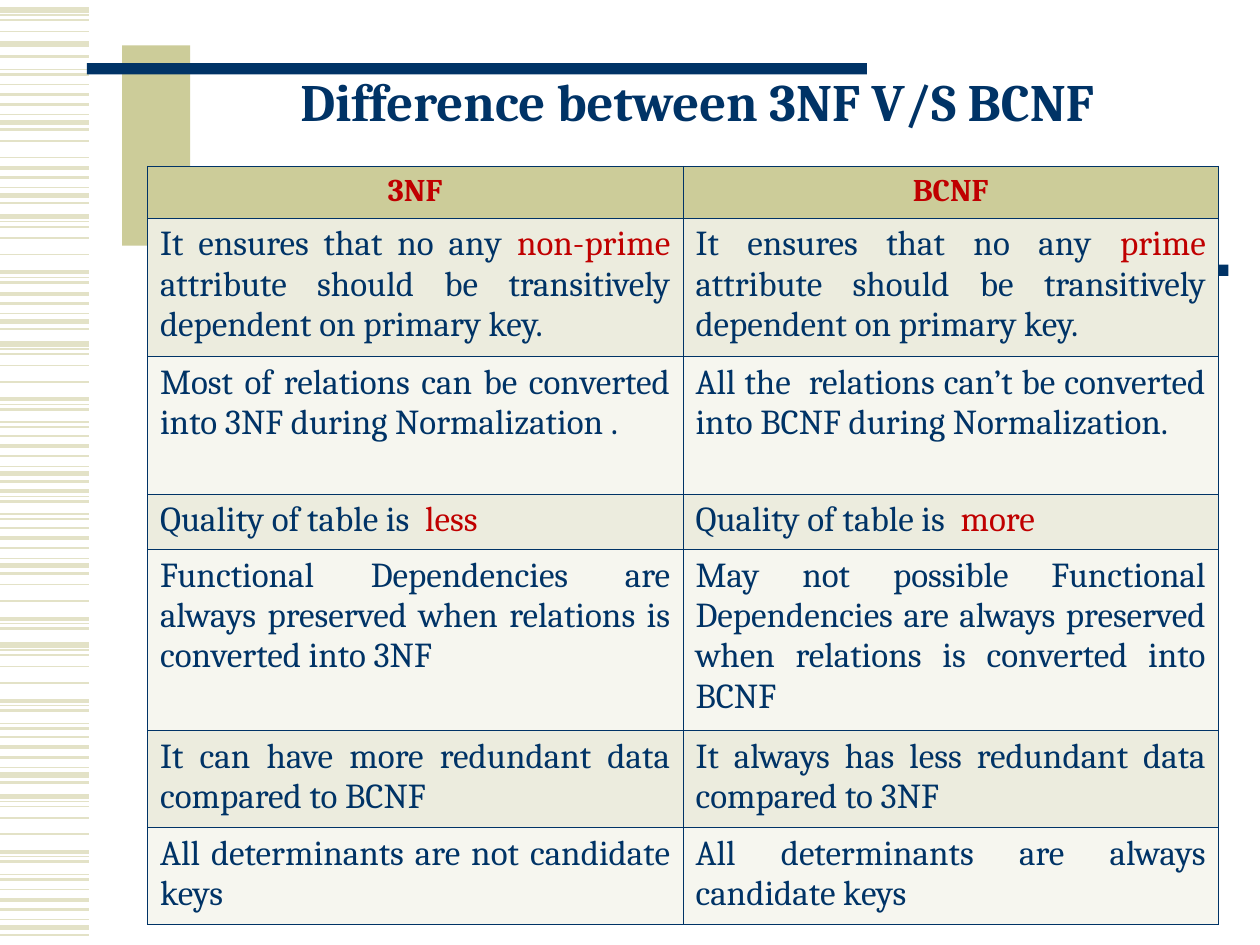
"""Build a slide comparing 3NF and BCNF in a table."""
from dataclasses import dataclass
from itertools import chain
from typing import NamedTuple

from lxml.etree import SubElement
from pptx import Presentation
from pptx.dml.color import RGBColor as RGB
from pptx.enum.shapes import MSO_CONNECTOR as CONNECTOR, MSO_SHAPE as SHAPE
from pptx.enum.text import MSO_ANCHOR as ANCHOR, PP_ALIGN as ALIGN
from pptx.oxml.ns import qn
from pptx.util import Emu, Pt

EMU_PER_PX = 9144


@dataclass(frozen=True)
class Theme:
    font: str = "Cambria"
    navy: str = "003366"
    red: str = "C00000"
    khaki: str = "CCCC99"
    stripe: str = "E3E2C7"
    bands: tuple[str, str] = ("ECECDE", "F6F6EF")
    title_size: int = 30
    header_size: int = 18
    body_size: int = 20
    border: float = 0.45


class Stripe(NamedTuple):
    dy: int
    weight: float


class StripeRun(NamedTuple):
    y: int
    motif: tuple[Stripe, ...]
    first: int = 0
    last: int | None = None


class Bar(NamedTuple):
    x: int
    y: int
    w: int
    h: int
    color: str


class Row(NamedTuple):
    height: int
    left: str
    right: str


THEME = Theme()

DENSE = (Stripe(-24, 1), Stripe(-16, 2.25), Stripe(-8, 1.5),
         Stripe(0, 0.75), Stripe(6, 3), Stripe(12, 1.5))
SPARSE = (Stripe(-4, 3), Stripe(0, 0.75), Stripe(4, 1), Stripe(13, 1),
          Stripe(26, 1), Stripe(40, 2.25), Stripe(44, 0.75),
          Stripe(48, 1.5), Stripe(58, 0.75), Stripe(62, 1.5))

STRIPE_RUNS = (
    *(StripeRun(y, DENSE) for y in (730, 609, 443, 370, 149, 91)),
    StripeRun(249, DENSE, 1),
    *(StripeRun(y, SPARSE) for y in (636, 516, 277)),
    StripeRun(451, SPARSE, 3, 8),
    StripeRun(350, SPARSE, 5),
    StripeRun(176, SPARSE, 0, 8),
    StripeRun(99, SPARSE, 3, 4),
    StripeRun(39, SPARSE, 0, 1),
    StripeRun(12, SPARSE, 0, 4),
    StripeRun(-3, SPARSE, 7),
)

BARS = (
    Bar(97, 36, 54, 159, THEME.khaki),
    Bar(69, 50, 619, 9, THEME.navy),
    Bar(798, 194, 161, 37, THEME.khaki),
    Bar(356, 210, 619, 9, THEME.navy),
)

ROWS = (
    Row(41, "|3NF|", "|BCNF|"),
    Row(110,
        "It ensures that no any |non-prime| attribute should be transitively "
        "dependent on primary key.",
        "It ensures that no any |prime| attribute should be transitively "
        "dependent on primary key."),
    Row(109,
        "Most of relations can be converted into 3NF during Normalization .",
        "All the  relations can’t be converted into BCNF during Normalization."),
    Row(44, "Quality of table is | less|", "Quality of table is  |more|"),
    Row(144,
        "Functional Dependencies are always preserved when relations is "
        "converted into 3NF",
        "May not possible Functional Dependencies are always preserved when "
        "relations is converted into BCNF"),
    Row(77, "It can have more redundant data compared to BCNF",
        "It always has less redundant data compared to 3NF"),
    Row(77, "All determinants are not candidate keys",
        "All determinants are always candidate keys"),
)


def px(n: int) -> Emu:
    """Turn px into EMU."""
    return Emu(n * EMU_PER_PX)


def write(tf, text: str, *, size: int, bold: bool = False,
          align=ALIGN.CENTER, spacing: float | None = None) -> None:
    """Fill a text frame, with the parts between bars in red."""
    p = tf.paragraphs[0]
    p.alignment = align
    if spacing:
        p.line_spacing = spacing
    for i, part in enumerate(text.split("|")):
        if part:
            r = p.add_run()
            r.text = part
            r.font.name = THEME.font
            r.font.size = Pt(size)
            r.font.bold = bold
            r.font.color.rgb = RGB.from_string(THEME.red if i % 2 else THEME.navy)


def draw_stripe(s, y: int, weight: float) -> None:
    """Draw one thin line across the left margin."""
    line = s.shapes.add_connector(CONNECTOR.STRAIGHT, 0, px(y), px(71), px(y))
    line.line.color.rgb = RGB.from_string(THEME.stripe)
    line.line.width = Pt(weight)
    SubElement(line._element.spPr, qn("a:effectLst"))


def draw_bar(s, bar: Bar) -> None:
    """Draw one plain filled rectangle."""
    sp = s.shapes.add_shape(SHAPE.RECTANGLE, *map(px, bar[:4]))
    sp.shadow.inherit = False
    sp.fill.solid()
    sp.fill.fore_color.rgb = RGB.from_string(bar.color)
    sp.line.fill.background()


def draw_title(s, text: str) -> None:
    """Draw the slide title."""
    tf = s.shapes.add_textbox(px(150), px(50), px(807), px(67)).text_frame
    tf.word_wrap = True
    tf.vertical_anchor = ANCHOR.MIDDLE
    write(tf, text, size=THEME.title_size, bold=True, spacing=0.85)


def style_cell(cell, color: str) -> None:
    """Give a cell its thin borders and its fill."""
    tc_pr = cell._tc.get_or_add_tcPr()
    for side in "LRTB":
        ln = SubElement(tc_pr, qn(f"a:ln{side}"), w=str(Pt(THEME.border)))
        fill = SubElement(ln, qn("a:solidFill"))
        SubElement(fill, qn("a:srgbClr"), val=THEME.navy)
    cell.fill.solid()
    cell.fill.fore_color.rgb = RGB.from_string(color)


def draw_table(s, rows: tuple[Row, ...]) -> None:
    """Draw the comparison table with a header and alternating bands."""
    height = sum(row.height for row in rows)
    table = s.shapes.add_table(len(rows), 2, px(117), px(132), px(850), px(height)).table
    table.first_row = table.horz_banding = False
    for i, row in enumerate(rows):
        table.rows[i].height = px(row.height)
        header = i == 0
        for j, text in enumerate((row.left, row.right)):
            cell = table.cell(i, j)
            style_cell(cell, THEME.khaki if header else THEME.bands[(i - 1) % 2])
            write(cell.text_frame, text, bold=header,
                  size=THEME.header_size if header else THEME.body_size,
                  align=ALIGN.CENTER if header else ALIGN.JUSTIFY)


def main() -> None:
    """Build and save the presentation."""
    prs = Presentation()
    prs.slide_width, prs.slide_height = px(1000), px(750)
    s = prs.slides.add_slide(prs.slide_layouts[6])
    stripes = chain.from_iterable(
        ((run.y + st.dy, st.weight) for st in run.motif[run.first:run.last])
        for run in STRIPE_RUNS)
    for y, weight in stripes:
        draw_stripe(s, y, weight)
    for bar in BARS:
        draw_bar(s, bar)
    draw_title(s, "Difference between 3NF V/S BCNF")
    draw_table(s, ROWS)
    prs.save("out.pptx")


if __name__ == "__main__":
    main()
